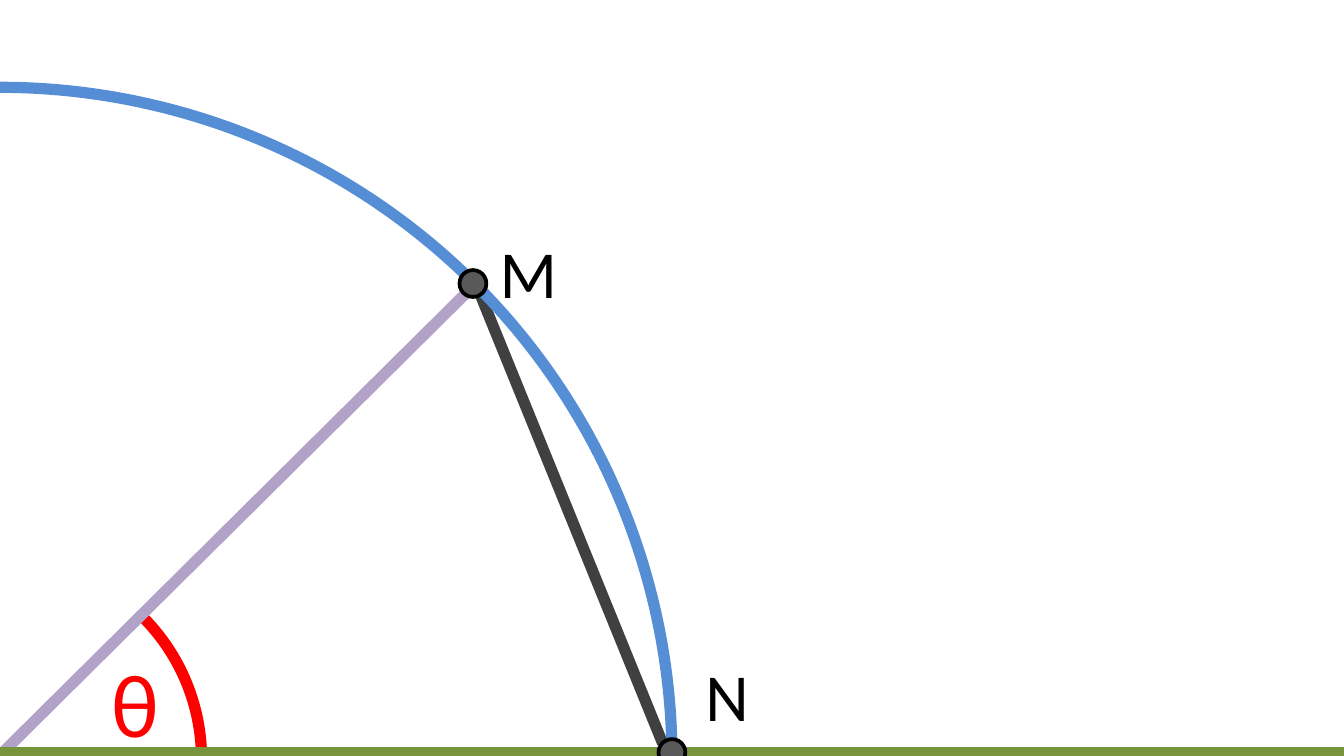
from pptx import Presentation
from pptx.dml.color import RGBColor
from pptx.enum.shapes import MSO_CONNECTOR, MSO_SHAPE
from pptx.enum.text import MSO_AUTO_SIZE
from pptx.oxml.ns import qn
from pptx.util import Pt

LINE = MSO_CONNECTOR.STRAIGHT
OVAL, ARC = MSO_SHAPE.OVAL, MSO_SHAPE.ARC
GROW = MSO_AUTO_SIZE.SHAPE_TO_FIT_TEXT

# Content: centre of the circle, points M and N, lengths in points
WIDE, HIGH = 720, 405
MID = (0, 406.8)
M, N = (253.4, 151.9), (360, 403.2)
THICK = 6
CHORD = ((254.9, 151.9), (355, 398.2), "404040")
RADIUS = ((254.9, 151.9), (0, 404.6), "B3A2C7")
BASE = ((WIDE, 403.2), (-5.8, 403.2), "77933C")
SWEEP = (189.213, 215.222)  # arc ends, in units of 100000/60000 degree
LABELS = [  # text, left, top, width, height, size, colour
    ("θ", 52.6, 343.4, 36, 65.5, 48, "FF0000"),
    ("M", 260.6, 120.2, 40.3, 51.1, 36, "000000"),
    ("N", 370.8, 347, 40.3, 51.1, 36, "000000"),
]

deck = Presentation()
deck.slide_width, deck.slide_height = Pt(WIDE), Pt(HIGH)
slide = deck.slides.add_slide(deck.slide_layouts[6])
shapes = slide.shapes


def color(code):
    return RGBColor.from_string(code)


def stroke(item, code, width=THICK):
    item.line.color.rgb = color(code)
    item.line.width = Pt(width)


def add_line(start, end, code):
    line = shapes.add_connector(LINE, *map(Pt, start + end))
    stroke(line, code)
    props = line._element.spPr
    props.append(props.makeelement(qn("a:effectLst"), {}))


def add_round(kind, mid, size, code, width=THICK, fill=None):
    x, y = mid
    box = (x - size / 2, y - size / 2, size, size)
    item = shapes.add_shape(kind, *map(Pt, box))
    item.shadow.inherit = False
    stroke(item, code, width)
    if fill:
        item.fill.solid()
        item.fill.fore_color.rgb = color(fill)
    else:
        item.fill.background()
    return item


def add_label(text, left, top, width, height, size, code):
    box = shapes.add_textbox(*map(Pt, (left, top, width, height)))
    frame = box.text_frame
    frame.word_wrap = False
    frame.auto_size = GROW
    run = frame.paragraphs[0].add_run()
    run.text = text
    for key, value in {"name": "Calibri", "size": Pt(size)}.items():
        setattr(run.font, key, value)
    run.font.color.rgb = color(code)


# Chord, angle, radius, baseline and circle, from back to front
add_line(*CHORD)
angle = add_round(ARC, MID, 216, "FF0000")
for i, value in enumerate(SWEEP):
    angle.adjustments[i] = value
add_line(*RADIUS)
add_line(*BASE)
add_round(OVAL, MID, 720, "558ED5")

# Points and their names
for spot in (M, N):
    add_round(OVAL, spot, 14.4, "000000", 2, "595959")
for label in LABELS:
    add_label(*label)

deck.save("out.pptx")
